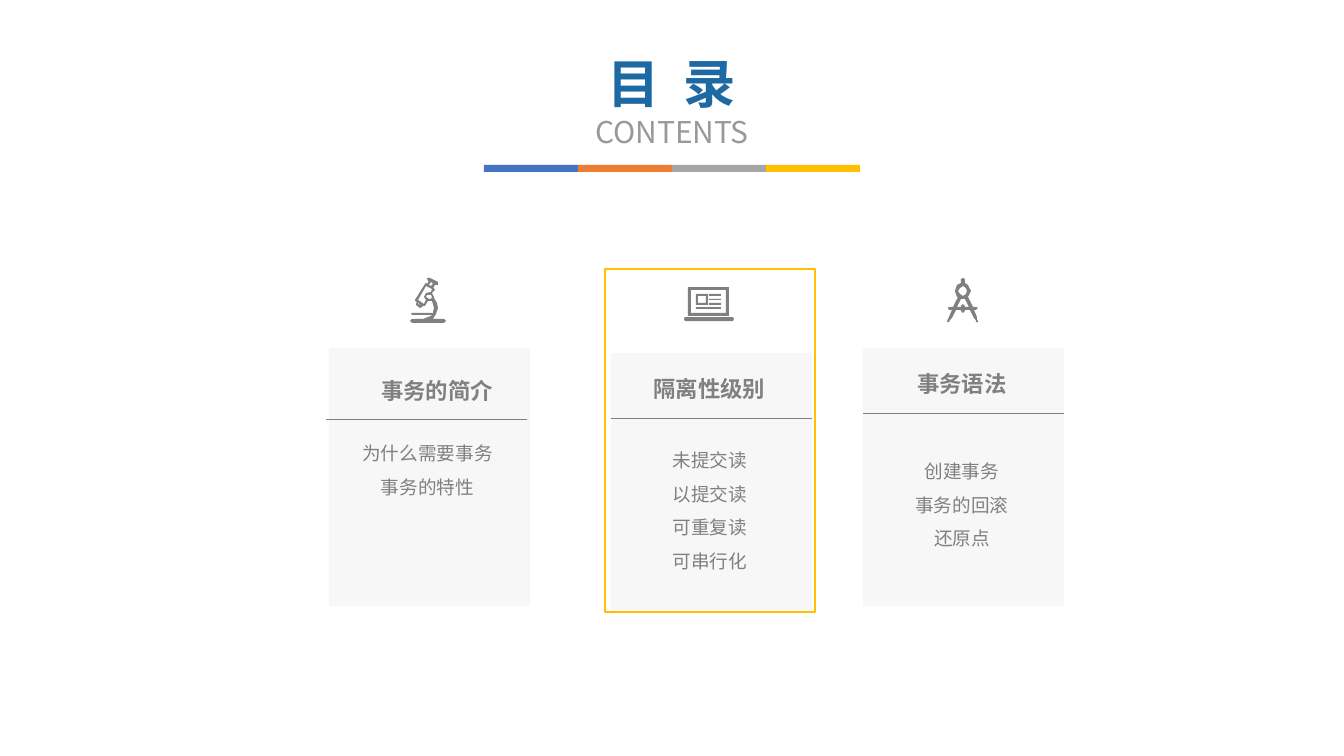
from lxml import etree
from pptx import Presentation
from pptx.dml.color import RGBColor
from pptx.enum.shapes import MSO_CONNECTOR, MSO_SHAPE
from pptx.enum.text import PP_ALIGN
from pptx.oxml.ns import qn
from pptx.util import Pt

PX = 914400 / 100.8
FONT = "Noto Sans CJK SC"
RECT = MSO_SHAPE.RECTANGLE
STRAIGHT = MSO_CONNECTOR.STRAIGHT
CENTER = PP_ALIGN.CENTER

BLUE = RGBColor(0x1D, 0x69, 0xA3)
LIGHT_GRAY = RGBColor(0x99, 0x99, 0x99)
GRAY = RGBColor(0x80, 0x80, 0x80)
PANEL = RGBColor(0xD9, 0xD9, 0xD9)
GOLD = RGBColor(0xFF, 0xC0, 0x00)
BAR_COLORS = [RGBColor(0x44, 0x72, 0xC4), RGBColor(0xED, 0x7D, 0x31),
              RGBColor(0xA5, 0xA5, 0xA5), GOLD]
BAR_LEFT, BAR_TOP, BAR_W, BAR_H = 484, 165, 94, 7
PANEL_W, PANEL_H = 201, 258
HEADING_BOX = (563, 46, 218, 110)
FRAME_BOX = (605, 269, 210, 343)


def box_outline(left, top, right, bottom):
    return [(left, top), (right, top), (right, bottom), (left, bottom)]


MICROSCOPE = [
    [(24, 21), (27, 26), (28, 31), (26, 37), (23, 42), (34, 42), (36, 44),
     (34, 46), (2, 46), (0, 44), (2, 42), (13, 42), (21, 39), (22, 38),
     (2, 38), (1, 37), (2, 36), (23, 36), (24, 31), (23, 27), (22, 24),
     (18, 24), (15, 29), (13, 29), (12, 30), (10, 31), (6, 28), (6, 27),
     (7, 25), (6, 25), (5, 23), (15, 7), (16, 6), (17, 7), (19, 4), (18, 4),
     (17, 1), (20, 1), (28, 5), (28, 8), (25, 8), (23, 11), (24, 11),
     (25, 13), (22, 16), (24, 20)],
    [(23, 7), (21, 5), (19, 8), (21, 9)],
    [(21, 15), (22, 12), (16, 9), (8, 23), (14, 27), (16, 23), (14, 20),
     (16, 16)],
    [(21, 18), (17, 18), (16, 20), (19, 22), (21, 22), (22, 20)],
    [(8, 26), (8, 27), (10, 28), (11, 28)],
]
LAPTOP = [box_outline(*edges) for edges in [
    (4, 0, 45, 29), (7, 3, 42, 26), (12, 7, 24, 18), (14, 9, 22, 16),
    (25, 7, 37, 9), (25, 12, 37, 13), (25, 16, 37, 18), (12, 20, 37, 22)]]
LAPTOP.append([(1, 30), (49, 30), (50, 32), (49, 34), (1, 34), (0, 32)])
COMPASS = [
    [(2, 32), (1, 30), (2, 29), (6, 29), (11, 19), (10, 19), (8, 13), (10, 7),
     (14, 5), (14, 1), (16, 0), (18, 1), (18, 5), (21, 7), (24, 13), (21, 19),
     (26, 29), (29, 29), (31, 30), (29, 32), (27, 32), (30, 39), (30, 41),
     (31, 43), (31, 44), (29, 44), (29, 42), (27, 40), (23, 32), (18, 32),
     (18, 33), (16, 35), (14, 33), (14, 32), (9, 32), (5, 40), (3, 42),
     (2, 44), (0, 44), (1, 41), (2, 39), (5, 32)],
    [(14, 29), (14, 28), (16, 26), (18, 28), (18, 29), (22, 29), (18, 21),
     (14, 21), (10, 29)],
    [(19, 10), (16, 8), (13, 10), (11, 13), (13, 16), (16, 18), (19, 16),
     (20, 13)],
]

CARDS = [
    dict(title="事务的简介", items=["为什么需要事务", "事务的特性"],
         panel=(329, 348), rule=(326, 419), title_box=(347, 372, 180, 37),
         items_box=(352, 426, 151, 112), icon=MICROSCOPE, icon_at=(410, 277)),
    dict(title="隔离性级别", items=["未提交读", "以提交读", "可重复读", "可串行化"],
         panel=(611, 353), rule=(611, 418), title_box=(643, 370, 133, 37),
         items_box=(632, 433, 156, 146), icon=LAPTOP, icon_at=(684, 287)),
    dict(title="事务语法", items=["创建事务", "事务的回滚", "还原点"],
         panel=(863, 348), rule=(863, 413), title_box=(907, 365, 110, 37),
         items_box=(884, 444, 156, 112), icon=COMPASS, icon_at=(947, 278)),
]


def px(*lengths):
    return [round(n * PX) for n in lengths]


def paint(sp, color):
    sp.shadow.inherit = False
    sp.fill.solid()
    sp.fill.fore_color.rgb = color
    sp.line.fill.background()


def add_rect(s, box, color):
    sp = s.shapes.add_shape(RECT, *px(*box))
    paint(sp, color)
    return sp


def add_text(s, box, lines, spacing=1.0):
    tf = s.shapes.add_textbox(*px(*box)).text_frame
    tf.word_wrap = False
    tf.text = "\n".join(line[0] for line in lines)
    for p, (_, size, color, bold) in zip(tf.paragraphs, lines):
        p.alignment = CENTER
        p.line_spacing = spacing
        r = p.runs[0]
        r.font.size = Pt(size)
        r.font.bold = bold
        r.font.color.rgb = color
        r.font.name = FONT
        etree.SubElement(r._r.get_or_add_rPr(), qn("a:ea")).set("typeface", FONT)
    return tf


def add_icon(s, at, contours):
    first, *others = contours
    builder = s.shapes.build_freeform(*first[0], scale=PX)
    builder.add_line_segments(first[1:], close=True)
    for contour in others:
        builder.move_to(*contour[0])
        builder.add_line_segments(contour[1:], close=True)
    paint(builder.convert_to_shape(*px(*at)), GRAY)


def add_card(s, card):
    panel = add_rect(s, (*card["panel"], PANEL_W, PANEL_H), PANEL)
    color = panel.fill._xPr.find(".//" + qn("a:srgbClr"))
    etree.SubElement(color, qn("a:alpha")).set("val", "20000")
    x, y = card["rule"]
    rule = s.shapes.add_connector(STRAIGHT, *px(x, y, x + PANEL_W, y))
    rule.line.color.rgb = GRAY
    rule.line.width = Pt(0.5)
    etree.SubElement(rule._element.spPr, qn("a:effectLst"))
    add_icon(s, card["icon_at"], card["icon"])
    add_text(s, card["title_box"], [(card["title"], 16, GRAY, True)])
    items = [(item, 13.3, GRAY, False) for item in card["items"]]
    add_text(s, card["items_box"], items, 1.5)


def main():
    prs = Presentation()
    prs.slide_width, prs.slide_height = px(1344, 756)
    s = prs.slides.add_slide(prs.slide_layouts[6])
    for i, color in enumerate(BAR_COLORS):
        add_rect(s, (BAR_LEFT + i * BAR_W, BAR_TOP, BAR_W, BAR_H), color)
    tf = add_text(s, HEADING_BOX, [("目 录", 37.4, BLUE, True),
                                   ("CONTENTS", 21.4, LIGHT_GRAY, False)])
    tf.paragraphs[0].runs[0]._r.get_or_add_rPr().set("spc", "420")
    for card in CARDS:
        add_card(s, card)
    frame = s.shapes.add_shape(RECT, *px(*FRAME_BOX))
    frame.shadow.inherit = False
    frame.fill.background()
    frame.line.color.rgb = GOLD
    frame.line.width = Pt(1)
    prs.save("out.pptx")


if __name__ == "__main__":
    main()
